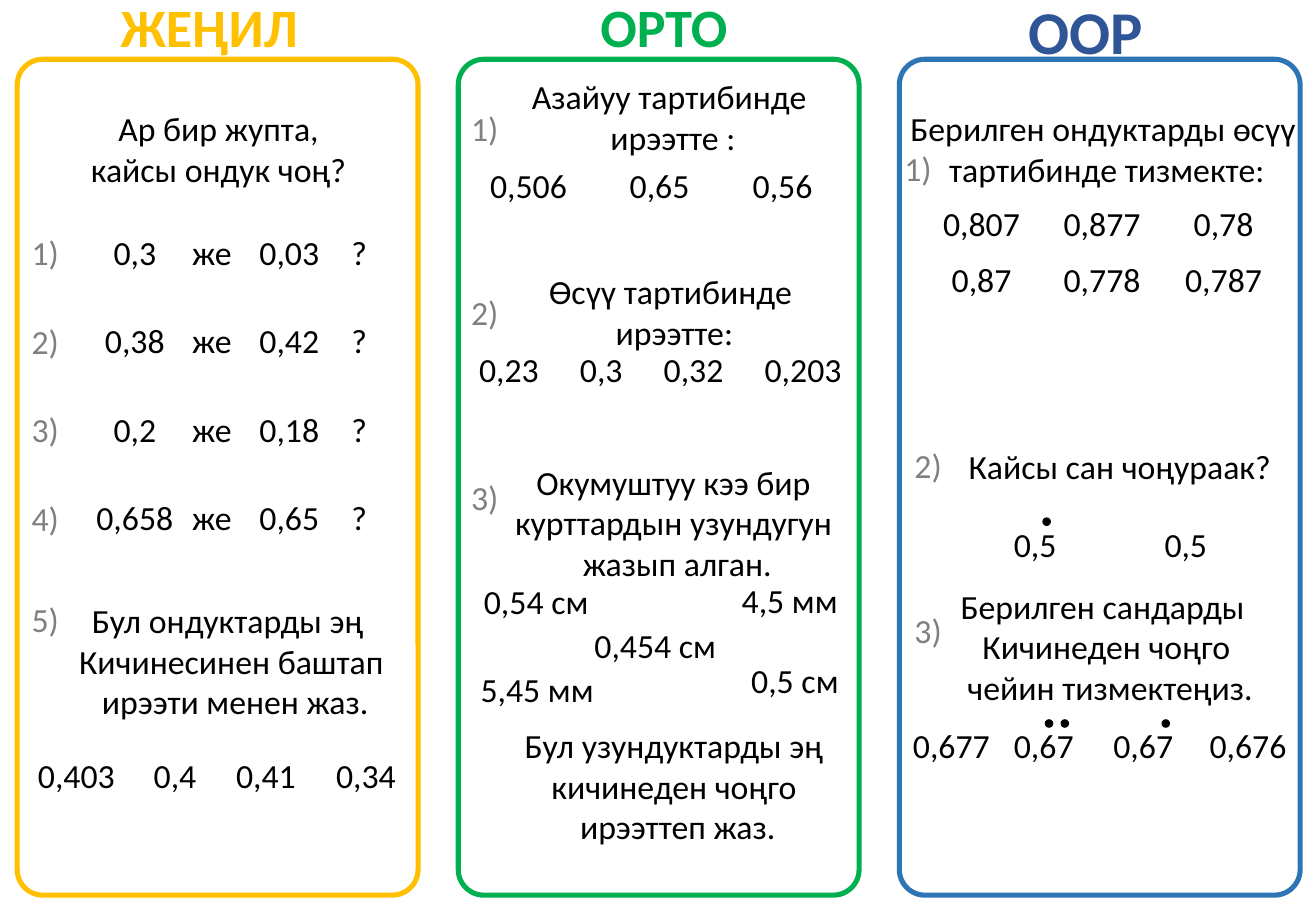
"""Build a slide of decimal exercises in three levels of difficulty."""
from dataclasses import dataclass

from pptx import Presentation
from pptx.dml.color import RGBColor
from pptx.enum.shapes import MSO_SHAPE
from pptx.enum.text import MSO_AUTO_SIZE, PP_ALIGN
from pptx.util import Cm, Pt

BLACK = RGBColor(0x00, 0x00, 0x00)
GRAY = RGBColor(0x80, 0x80, 0x80)
YELLOW = RGBColor(0xFF, 0xC0, 0x00)
GREEN = RGBColor(0x00, 0xB0, 0x50)
BLUE = RGBColor(0x2E, 0x75, 0xB6)
DARK_BLUE = RGBColor(0x2F, 0x55, 0x97)

BODY_FORMAT = {"name": "Calibri", "size": Pt(20)}
DIGIT_WIDTH = 0.36
LINE_HEIGHT = 0.85
TEXT_HEIGHT = 1.12
DOT_SIZE = 0.18


@dataclass
class Level:
    """A panel with its title, placed by the title's centre."""
    title: str
    center: float
    width: float
    height: float
    size: int
    title_color: RGBColor
    line_color: RGBColor


@dataclass
class Label:
    """Centred text; a width of zero is worked out from its length."""
    text: str
    center: float
    top: float
    width: float = 0


@dataclass
class Number:
    """A grey exercise number."""
    value: int
    left: float
    top: float
    alignment: PP_ALIGN = PP_ALIGN.RIGHT


def number_row(top: float, values: dict[float, str]) -> list[Label]:
    """Return one row of labels keyed by their centres."""
    return [Label(text, center, top) for center, text in values.items()]


LEVELS = [
    Level("ЖЕҢИЛ", 4.38, 5.36, 1.62, 32, YELLOW, YELLOW),
    Level("ОРТО", 13.88, 5.36, 1.62, 32, GREEN, GREEN),
    Level("ООР", 22.69, 3.63, 1.8, 36, DARK_BLUE, BLUE),
]
PAIRS = [("0,3", "0,03"), ("0,38", "0,42"), ("0,2", "0,18"), ("0,658", "0,65")]
PAIR_TOPS = [4.72 + 1.85 * index for index in range(len(PAIRS))]

NUMBERS = [
    *(Number(index, 0.36, top + 0.13, PP_ALIGN.LEFT) for index, top in enumerate(PAIR_TOPS, 1)),
    Number(5, 0.36, 12.52, PP_ALIGN.LEFT),
    Number(1, 9.53, 2.26),
    Number(2, 9.53, 6.1),
    Number(3, 9.53, 9.98),
    Number(1, 18.59, 3.1),
    Number(2, 18.8, 9.3),
    Number(3, 18.8, 12.75),
]

LABELS = [
    Label("Ар бир жупта,\nкайсы ондук чоң?", 4.57, 2.13, 5.89),
    *(
        label
        for (first, second), top in zip(PAIRS, PAIR_TOPS)
        for label in (
            *number_row(top, {2.82: first, 6.05: second}),
            Label("же", 4.43, top, 1.35),
            Label("?", 7.51, top, 0.84),
        )
    ),
    Label("Бул ондуктарды эң \nКичинесинен баштап\n ирээти менен жаз.", 4.84, 12.42, 7.09),
    *number_row(15.65, {1.6: "0,403", 3.66: "0,4", 5.56: "0,41", 7.65: "0,34"}),
    Label("Азайуу тартибинде \nирээтте :", 14.07, 1.47, 6.45),
    *number_row(3.33, {11.05: "0,506", 13.79: "0,65", 16.36: "0,56"}),
    Label("Өсүү тартибинде \nирээтте:", 14.1, 5.54, 5.79),
    *number_row(7.16, {10.64: "0,23", 12.57: "0,3", 14.5: "0,32", 16.79: "0,203"}),
    Label("Окумуштуу кээ бир \nкурттардын узундугун \nжазып алган.", 14.16, 9.53, 7.34),
    Label("0,54 см", 11.21, 12.01, 2.72),
    Label("4,5 мм", 16.51, 11.99, 2.54),
    Label("0,454 см", 13.7, 12.93, 3.07),
    Label("5,45 мм", 11.23, 13.87, 2.9),
    Label("0,5 см", 16.62, 13.67, 2.36),
    Label("Бул узундуктарды эң \nкичинеден чоңго \nирээттеп жаз.", 14.17, 15.04, 6.96),
    Label("Берилген ондуктарды өсүү \nтартибинде тизмекте:", 23.14, 2.13, 8.79),
    *number_row(4.11, {20.52: "0,807", 23.04: "0,877", 25.58: "0,78"}),
    *number_row(5.28, {20.52: "0,87", 23.04: "0,778", 25.58: "0,787"}),
    Label("Кайсы сан чоңураак?", 23.41, 9.19, 6.88),
    *number_row(10.82, {21.64: "0,5", 24.79: "0,5"}),
    Label("Берилген сандарды \nКичинеден чоңго\n чейин тизмектеңиз.", 23.13, 12.12, 6.68),
    *number_row(15.04, {19.89: "0,677", 21.82: "0,67", 23.9: "0,67", 26.09: "0,676"}),
]
REPEATING_DOTS = [(21.79, 10.82), (21.84, 15.04), (22.17, 15.04), (24.28, 15.04)]


def add_text(slide, text: str, box: tuple, color: RGBColor, font_format: dict,
             alignment: PP_ALIGN = PP_ALIGN.CENTER, frame_format: dict | None = None) -> None:
    """Add a text box with one paragraph for each line of text."""
    frame = slide.shapes.add_textbox(*map(Cm, box)).text_frame
    settings = {"word_wrap": False, "auto_size": MSO_AUTO_SIZE.SHAPE_TO_FIT_TEXT}
    for name, value in (settings | (frame_format or {})).items():
        setattr(frame, name, value)
    frame.text = text
    for paragraph in frame.paragraphs:
        paragraph.alignment = alignment
        font = paragraph.runs[0].font
        for name, value in font_format.items():
            setattr(font, name, value)
        font.color.rgb = color


def add_panel(slide, level: Level, left: float) -> None:
    """Add the rounded outline of a level."""
    panel = slide.shapes.add_shape(
        MSO_SHAPE.ROUNDED_RECTANGLE, *map(Cm, (left, 1.24, 8.38, 17.48)))
    panel.adjustments[0] = 0.064
    panel.shadow.inherit = False
    panel.fill.background()
    panel.line.color.rgb = level.line_color
    panel.line.width = Pt(3)


def add_title(slide, level: Level) -> None:
    """Add the bold name of a level."""
    box = (level.center - level.width / 2, -0.25, level.width, level.height)
    add_text(slide, level.title, box, level.title_color,
             BODY_FORMAT | {"size": Pt(level.size), "bold": True},
             frame_format={"word_wrap": True})


def add_label(slide, label: Label) -> None:
    """Add a centred black label."""
    width = label.width or DIGIT_WIDTH * (len(label.text) + 1)
    height = TEXT_HEIGHT + LINE_HEIGHT * label.text.count("\n")
    box = (label.center - width / 2, label.top, width, height)
    add_text(slide, label.text, box, BLACK, BODY_FORMAT)


def add_number(slide, number: Number) -> None:
    """Add a grey exercise number."""
    margins = {"margin_left": Cm(0.3), "margin_top": 0, "margin_right": 0, "margin_bottom": 0}
    add_text(slide, f"{number.value})", (number.left, number.top, 0.89, 0.86), GRAY,
             BODY_FORMAT, number.alignment, margins)


def add_dot(slide, left: float, top: float) -> None:
    """Add the dot that marks a repeating digit."""
    dot = slide.shapes.add_shape(MSO_SHAPE.OVAL, *map(Cm, (left, top, DOT_SIZE, DOT_SIZE)))
    dot.shadow.inherit = False
    dot.fill.solid()
    dot.fill.fore_color.rgb = BLACK
    dot.line.fill.background()


def main() -> None:
    """Draw the slide and save it."""
    presentation = Presentation()
    presentation.slide_width, presentation.slide_height = Cm(27.51), Cm(19.05)
    slide = presentation.slides.add_slide(presentation.slide_layouts[6])
    for index, level in enumerate(LEVELS):
        add_panel(slide, level, 0.36 + 9.22 * index)
    for label in LABELS:
        add_label(slide, label)
    for number in NUMBERS:
        add_number(slide, number)
    for left, top in REPEATING_DOTS:
        add_dot(slide, left, top)
    for level in LEVELS:
        add_title(slide, level)
    presentation.save("out.pptx")


if __name__ == "__main__":
    main()
